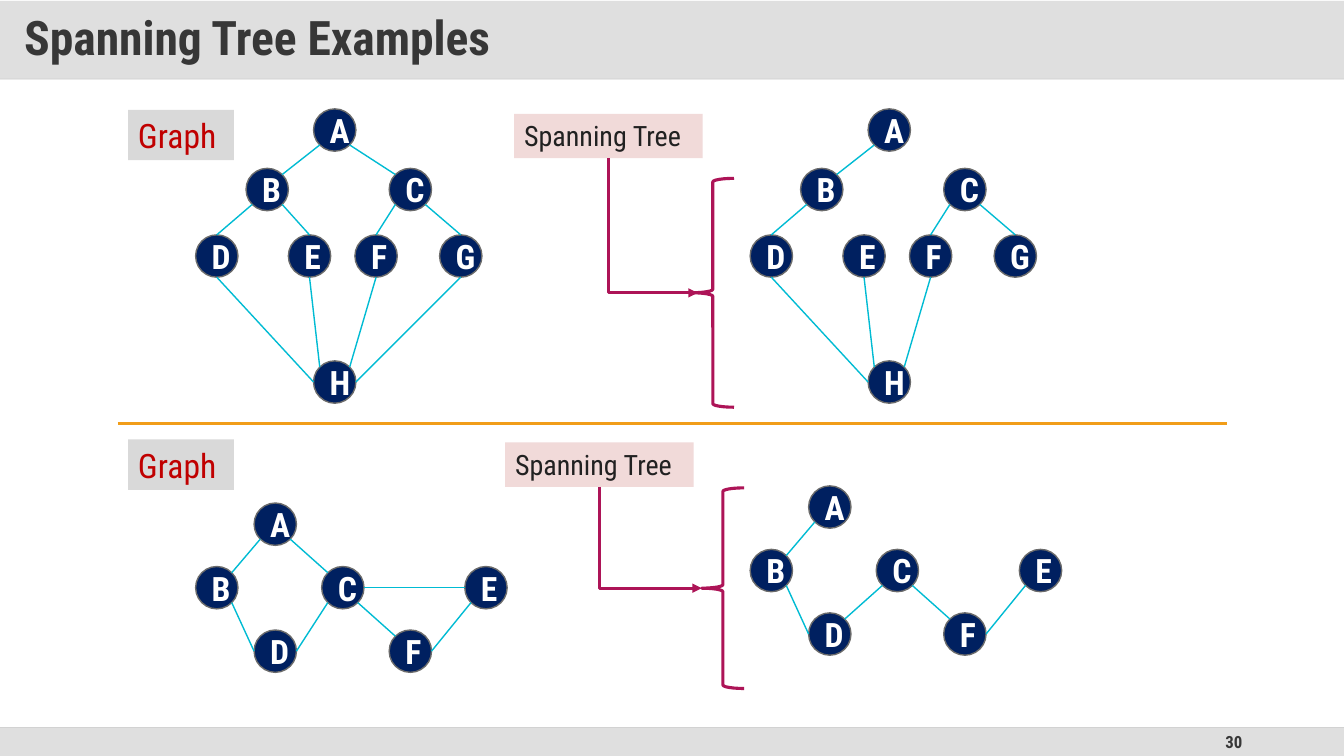
from math import cos, radians, sin

from lxml.etree import SubElement
from pptx import Presentation
from pptx.dml.color import RGBColor
from pptx.enum.shapes import MSO_CONNECTOR, MSO_SHAPE
from pptx.enum.text import MSO_ANCHOR, PP_ALIGN
from pptx.oxml.ns import qn
from pptx.util import Inches, Pt

RADIUS = 0.21


def color(code):
    return RGBColor.from_string(code)


def site(center, index):
    """Return one of a circle's eight joints, counted from the top to the left."""
    angle = radians(90 + 45 * index)
    return center[0] + RADIUS * cos(angle), center[1] - RADIUS * sin(angle)


class Board:
    font = "Roboto Condensed"
    dark = "373737"
    navy = "002060"
    rim = "6B6B6B"
    cyan = "00BBD3"
    plum = "AD1457"

    def __init__(self, deck):
        self.slide = deck.slides.add_slide(deck.slide_layouts[6])

    def shape(self, kind, left, top, width, height, fill=None, line=None, weight=1):
        item = self.slide.shapes.add_shape(
            kind, Inches(left), Inches(top), Inches(width), Inches(height))
        item.shadow.inherit = False
        if fill:
            item.fill.solid()
            item.fill.fore_color.rgb = color(fill)
        else:
            item.fill.background()
        if line:
            item.line.color.rgb = color(line)
            item.line.width = Pt(weight)
        else:
            item.line.fill.background()
        return item

    def words(self, item, text, size, ink, bold=False,
              align=PP_ALIGN.LEFT, anchor=MSO_ANCHOR.MIDDLE):
        frame = item.text_frame
        frame.word_wrap = True
        frame.vertical_anchor = anchor
        para = frame.paragraphs[0]
        para.text = text
        para.alignment = align
        para.font.name = self.font
        para.font.size = Pt(size)
        para.font.bold = bold
        para.font.color.rgb = color(ink)
        return frame

    def line(self, start, end, ink, weight=1, kind=MSO_CONNECTOR.STRAIGHT):
        item = self.slide.shapes.add_connector(
            kind, *(Inches(value) for value in (*start, *end)))
        item.line.color.rgb = color(ink)
        item.line.width = Pt(weight)
        SubElement(item._element.spPr, qn("a:effectLst"))
        return item

    def elbow(self, start, end):
        """Draw an arrow that runs down and then right."""
        (x1, y1), (x2, y2) = start, end
        midx, midy = (x1 + x2) / 2, (y1 + y2) / 2
        wide, tall = x2 - x1, y2 - y1
        # The box is laid out before its quarter turn, so its sides swap.
        item = self.line((midx + tall / 2, midy - wide / 2),
                         (midx - tall / 2, midy + wide / 2),
                         self.plum, 2.25, MSO_CONNECTOR.ELBOW)
        props = item._element.spPr
        props.find(qn("a:xfrm")).set("rot", str(270 * 60000))
        props.find(qn("a:prstGeom")).set("prst", "bentConnector2")
        SubElement(props.find(qn("a:ln")), qn("a:tailEnd"), type="triangle")

    def graph(self, nodes, edges, shift=(0, 0)):
        """Draw nodes and edges; an edge "A3B7" joins site 3 of A to site 7 of B."""
        spots = {name: (x + shift[0], y + shift[1]) for name, (x, y) in nodes.items()}
        for name, (x, y) in spots.items():
            ball = self.shape(MSO_SHAPE.OVAL, x - RADIUS, y - RADIUS,
                              2 * RADIUS, 2 * RADIUS, self.navy, self.rim)
            self.words(ball, name, 24, "FFFFFF", True, PP_ALIGN.CENTER)
        for first, out, last, into in edges.split():
            self.line(site(spots[first], int(out)), site(spots[last], int(into)), self.cyan)

    def label(self, text, left, top, width, height, size, ink, fill):
        box = self.shape(MSO_SHAPE.RECTANGLE, left, top, width, height, fill)
        self.words(box, text, size, ink, anchor=MSO_ANCHOR.TOP)

    def pointer(self, left, top, brace):
        """Draw the tree label, its brace and the arrow between them."""
        width, height = 1.87, 0.44
        self.label("Spanning Tree", left, top, width, height, 20, "212121", "F1DAD9")
        x, y, tall, tip = brace
        self.elbow((left + width / 2, top + height), (tip, y + tall / 2))
        self.shape(MSO_SHAPE.LEFT_BRACE, x, y, 0.42, tall, line=self.plum, weight=2.25)

    def frame(self, title, number):
        bar = self.shape(MSO_SHAPE.RECTANGLE, 0, 0.01, 13.33, 0.78, "DFDFDF")
        text = self.words(bar, title, 34, self.dark, True)
        text.margin_left = text.margin_right = Inches(0.24)
        text.margin_top = text.margin_bottom = Inches(0.12)
        text.paragraphs[0].line_spacing = 0.9
        self.shape(MSO_SHAPE.RECTANGLE, 0, 7.22, 13.33, 0.28, "DFDFDF")
        page = self.slide.shapes.add_textbox(
            Inches(9.42), Inches(7.22), Inches(3), Inches(0.28))
        self.words(page, number, 12, self.dark, True, PP_ALIGN.RIGHT)
        for y, ink in ((0.78, "D9D9D9"), (7.22, "D2D2D2")):
            self.line((0, y), (13.33, y), ink)


def main():
    deck = Presentation()
    deck.slide_width, deck.slide_height = Inches(13.33), Inches(7.5)
    board = Board(deck)
    board.frame("Spanning Tree Examples", "30")

    upper = {"A": (3.32, 1.29), "B": (2.65, 1.88), "C": (4.07, 1.88),
             "D": (2.15, 2.54), "E": (3.07, 2.54), "F": (3.73, 2.54),
             "G": (4.57, 2.54), "H": (3.32, 3.79)}
    board.graph(upper, "A3B7 A5C1 B3D0 B5E0 C3F0 C5G0 D4H2 E4H1 F4H7 G4H6")
    board.graph(upper, "A3B7 B3D0 C3F0 C5G0 D4H2 E4H1 F4H7", (5.5, 0))

    board.line((1.17, 4.2), (12.17, 4.2), "F19D19", 2.25)

    lower = {"A": (2.73, 5.2), "B": (2.15, 5.83), "C": (3.4, 5.83),
             "D": (2.73, 6.46), "E": (4.82, 5.83), "F": (4.07, 6.46)}
    board.graph(lower, "A3B7 A5C1 B5D2 D6C3 C6E2 C5F1 E3F6")
    board.graph(lower, "A3B7 B5D2 D7C3 C5F1 E3F6", (5.5, -0.17))

    for top in (1.09, 4.36):
        board.label("Graph", 1.27, top, 1.05, 0.5, 24, "C00000", "D9D9D9")
    board.pointer(5.1, 1.13, (6.86, 1.77, 2.27, 6.92))
    board.pointer(5.01, 4.39, (6.96, 4.84, 1.99, 6.96))

    deck.save("out.pptx")


if __name__ == "__main__":
    main()
